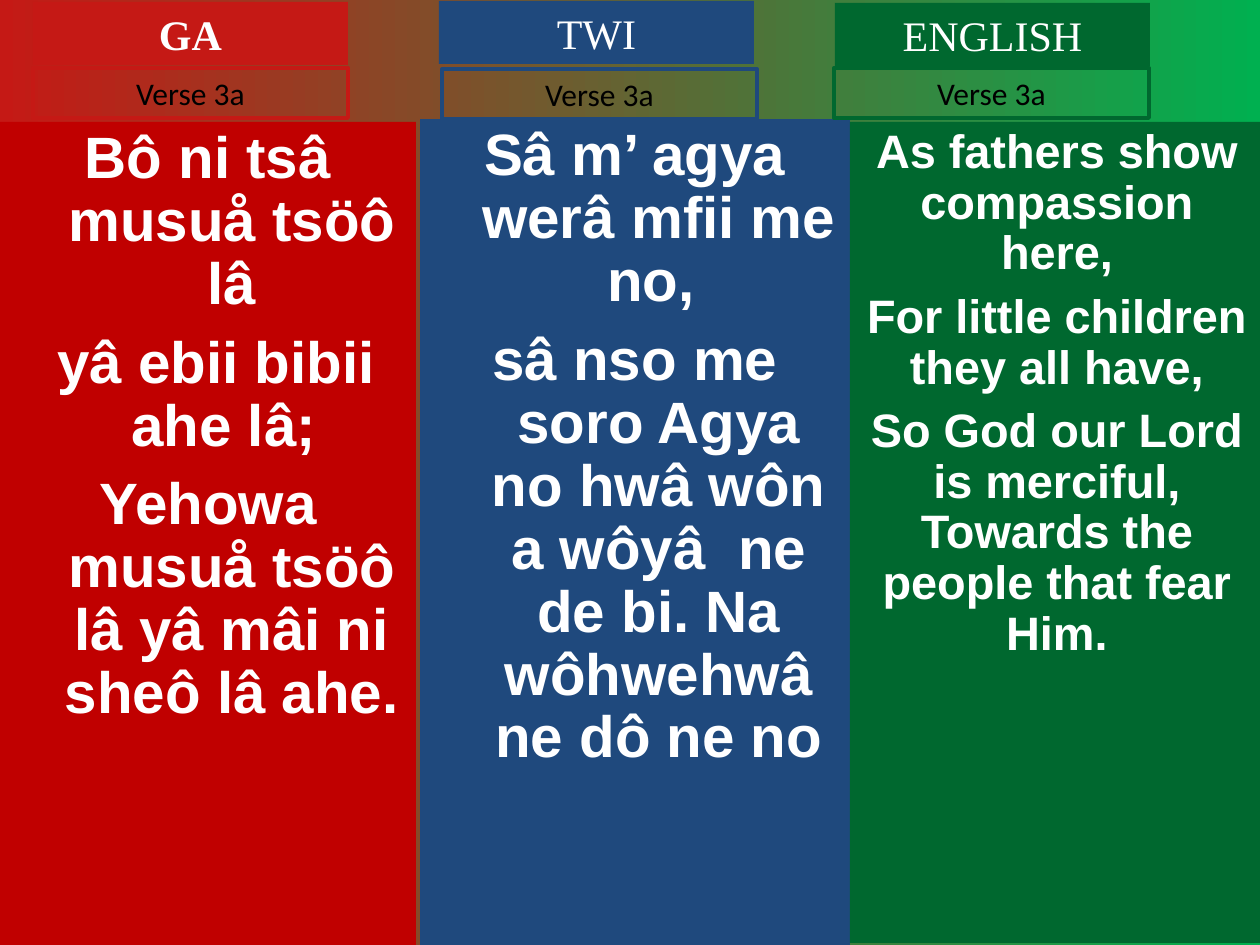
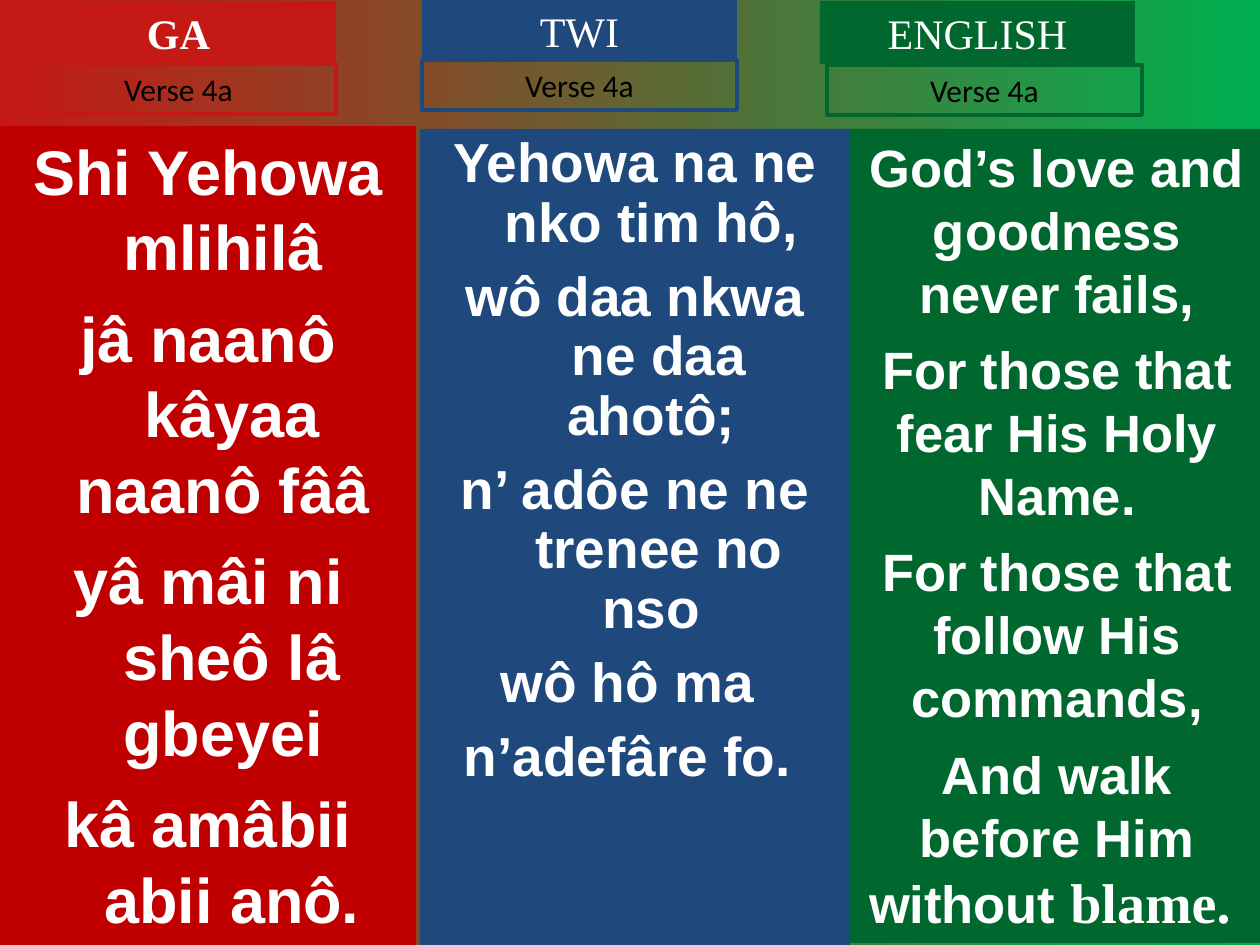
from dataclasses import dataclass

from lxml import etree
from pptx import Presentation, util as u
from pptx.dml.color import RGBColor
from pptx.enum import shapes, text
from pptx.oxml.ns import qn

EMU_PER_PX = 914400 / 126
SLIDE_WIDTH, SLIDE_HEIGHT = 1260, 945
TWO_CONTENT_LAYOUT = 3

WHITE = RGBColor(0xFF, 0xFF, 0xFF)
BLACK = RGBColor(0x00, 0x00, 0x00)
LIGHT_RED = RGBColor(0xC5, 0x19, 0x15)
RED = RGBColor(0xC0, 0x00, 0x00)
BLUE = RGBColor(0x1F, 0x49, 0x7D)
GREEN = RGBColor(0x00, 0x68, 0x2F)
BRIGHT_GREEN = RGBColor(0x00, 0xB0, 0x50)

LABEL_WIDTH, HEADING_HEIGHT, VERSE_HEIGHT = 315, 63, 50
HANGING_INDENT = 48


@dataclass(frozen=True)
class Language:
    name: str
    label_color: RGBColor
    column_color: RGBColor
    left: int
    width: int
    hanging: int = 0
    bold_heading: bool = False
    heading_placeholder: int | None = None
    column_placeholder: int | None = None


@dataclass(frozen=True)
class Lyrics:
    """One language's column on one slide; places in px, sizes in points."""
    heading_at: tuple[int, int]
    verse_at: tuple[int, int]
    top: int
    height: int
    size: float
    space_before: float
    line_spacing: float
    lines: tuple[str, ...]
    serif_ending: str = ""


@dataclass(frozen=True)
class TextStyle:
    font: str
    size: float
    color: RGBColor
    bold: bool = False
    space_before: float = 0
    line_spacing: float = 1.0
    hanging: int = 0


LANGUAGES = (
    Language("GA", LIGHT_RED, RED, 0, 416, HANGING_INDENT, True, 0, 1),
    Language("TWI", BLUE, BLUE, 420, 430, HANGING_INDENT, column_placeholder=2),
    Language("ENGLISH", GREEN, GREEN, 850, 414),
)

VERSES = {
    "Verse 3a": (
        Lyrics((33, 2), (33, 68), 122, 823, 33.3, 9, 0.9, (
            "Bô ni tsâ musuå tsöô lâ",
            " yâ ebii bibii ahe lâ; ",
            "Yehowa musuå tsöô lâ yâ mâi ni sheô lâ ahe.")),
        Lyrics((439, 1), (442, 69), 119, 826, 33.3, 9, 0.9, (
            "Sâ m’ agya werâ mfii me no, ",
            "sâ nso me soro Agya no hwâ wôn a wôyâ  ne de bi. "
            "Na wôhwehwâ ne dô ne no")),
        Lyrics((835, 3), (834, 68), 122, 821, 26.8, 7.3, 0.9, (
            "As fathers show compassion here,",
            "For little children they all have,",
            "So God our Lord is merciful, Towards the people that fear Him.")),
    ),
    "Verse 4a": (
        Lyrics((21, 1), (21, 64), 126, 819, 36, 9, 1.0, (
            "Shi Yehowa mlihilâ ",
            "jâ naanô kâyaa naanô fââ ",
            "yâ mâi ni sheô lâ gbeyei ",
            "kâ amâbii abii anô.")),
        Lyrics((422, -1), (422, 60), 129, 816, 31.4, 8.5, 0.9, (
            "Yehowa na ne nko tim hô, ",
            "wô daa nkwa ne daa ahotô; ",
            "n’ adôe ne ne trenee no nso ",
            "wô hô ma ",
            "n’adefâre fo. ")),
        Lyrics((820, 1), (827, 65), 129, 814, 30, 7.5, 1.0, (
            "God’s love and goodness never fails,",
            "For those that fear His Holy Name.",
            "For those that follow His commands,",
            "And walk before Him without "), "blame. "),
    ),
}


def px(length: int) -> u.Emu:
    return u.Emu(round(length * EMU_PER_PX))


def add_box(slide, left: int, top: int, width: int, height: int,
            fill: RGBColor | None = None, line: RGBColor | None = None,
            placeholder: int | None = None):
    """Add a rectangle, or move the given placeholder into its place."""
    place = [px(length) for length in (left, top, width, height)]
    if placeholder is None:
        shape = slide.shapes.add_shape(shapes.MSO_SHAPE.RECTANGLE, *place)
        shape.shadow.inherit = False
    else:
        shape = slide.placeholders[placeholder]
        shape.left, shape.top, shape.width, shape.height = place
    if fill is None:
        shape.fill.background()
    else:
        shape.fill.solid()
        shape.fill.fore_color.rgb = fill
    if line is None:
        shape.line.fill.background()
    else:
        shape.line.color.rgb = line
        shape.line.width = u.Pt(2.25)
    return shape


def format_run(run, style: TextStyle) -> None:
    run.font.name = style.font
    run.font.size = u.Pt(style.size)
    run.font.bold = style.bold
    run.font.color.rgb = style.color


def write(shape, lines: tuple[str, ...], style: TextStyle) -> None:
    frame = shape.text_frame
    frame.text = "\n".join(lines)
    frame.word_wrap = True
    frame.auto_size = text.MSO_AUTO_SIZE.NONE
    frame.vertical_anchor = text.MSO_ANCHOR.TOP
    for number, paragraph in enumerate(frame.paragraphs):
        properties = paragraph._p.get_or_add_pPr()
        properties.set("marL", str(px(style.hanging)))
        properties.set("indent", str(-px(style.hanging)))
        etree.SubElement(properties, qn("a:buNone"))
        paragraph.alignment = text.PP_ALIGN.CENTER
        paragraph.line_spacing = style.line_spacing
        paragraph.space_before = u.Pt(style.space_before if number else 0)
        for run in paragraph.runs:
            format_run(run, style)


def add_column(slide, language: Language, lyrics: Lyrics) -> None:
    column = add_box(slide, language.left, lyrics.top, language.width, lyrics.height,
                     fill=language.column_color,
                     placeholder=language.column_placeholder)
    write(column, lyrics.lines,
          TextStyle("Arial", lyrics.size, WHITE, True, lyrics.space_before,
                    lyrics.line_spacing, language.hanging))
    if lyrics.serif_ending:
        run = column.text_frame.paragraphs[-1].add_run()
        run.text = lyrics.serif_ending
        format_run(run, TextStyle("Times New Roman", 32, WHITE, True))


def add_labels(slide, language: Language, lyrics: Lyrics, verse: str) -> None:
    heading = add_box(slide, *lyrics.heading_at, LABEL_WIDTH, HEADING_HEIGHT,
                      fill=language.label_color,
                      placeholder=language.heading_placeholder)
    write(heading, (language.name,),
          TextStyle("Times New Roman", 24, WHITE, language.bold_heading))
    verse_box = add_box(slide, *lyrics.verse_at, LABEL_WIDTH, VERSE_HEIGHT,
                        line=language.label_color)
    write(verse_box, (verse,), TextStyle("Calibri", 18, BLACK))


def set_background(master) -> None:
    fill = master.background.fill
    fill.gradient()
    fill.gradient_angle = 0
    for stop, position, color in zip(fill.gradient_stops, (0, 1),
                                     (LIGHT_RED, BRIGHT_GREEN)):
        stop.position = position
        stop.color.rgb = color


def main() -> None:
    presentation = Presentation()
    presentation.slide_width = px(SLIDE_WIDTH)
    presentation.slide_height = px(SLIDE_HEIGHT)
    set_background(presentation.slide_master)
    for verse, columns in VERSES.items():
        slide = presentation.slides.add_slide(
            presentation.slide_layouts[TWO_CONTENT_LAYOUT])
        for language, lyrics in zip(LANGUAGES, columns):
            add_column(slide, language, lyrics)
            add_labels(slide, language, lyrics, verse)
    presentation.save("out.pptx")


if __name__ == "__main__":
    main()
